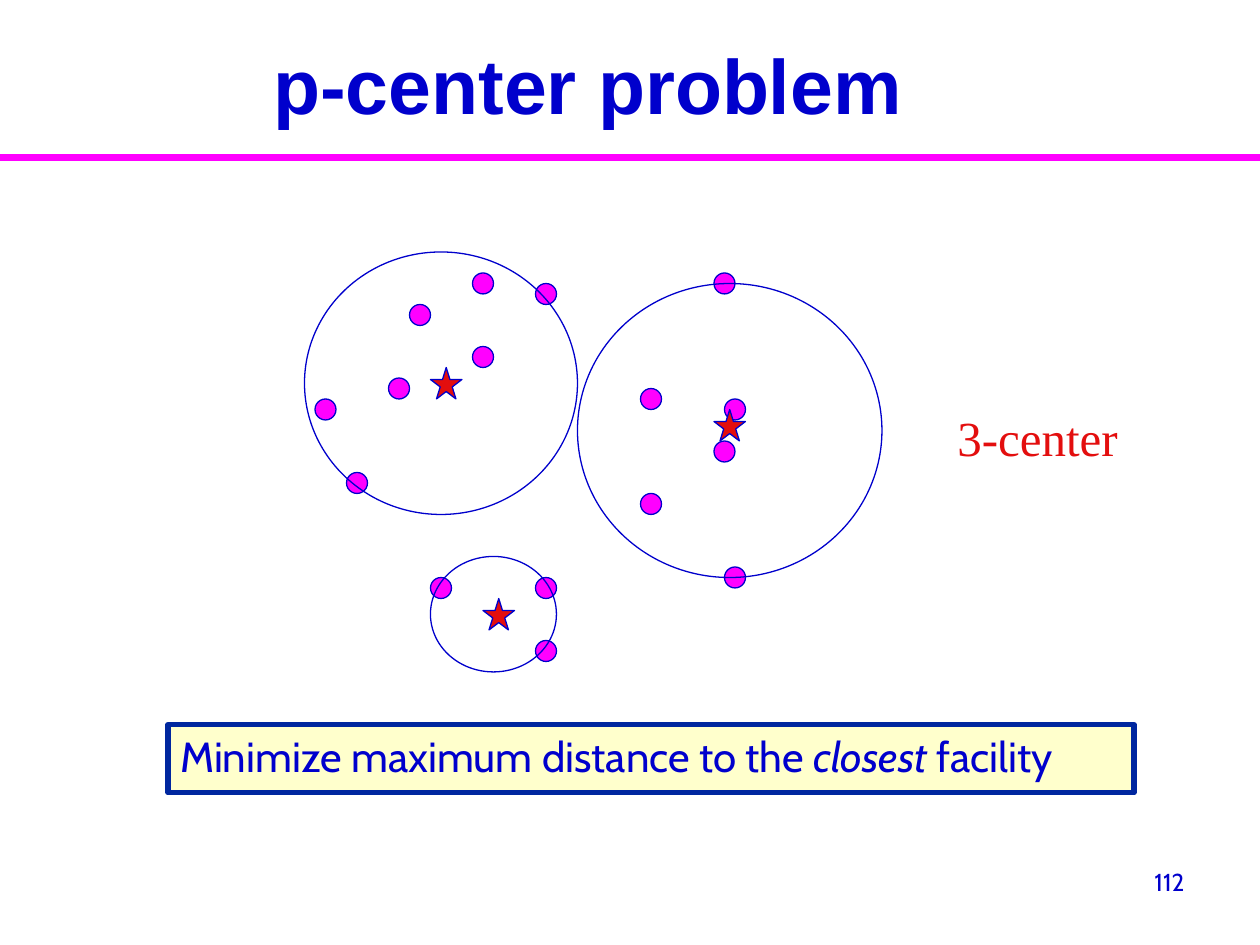
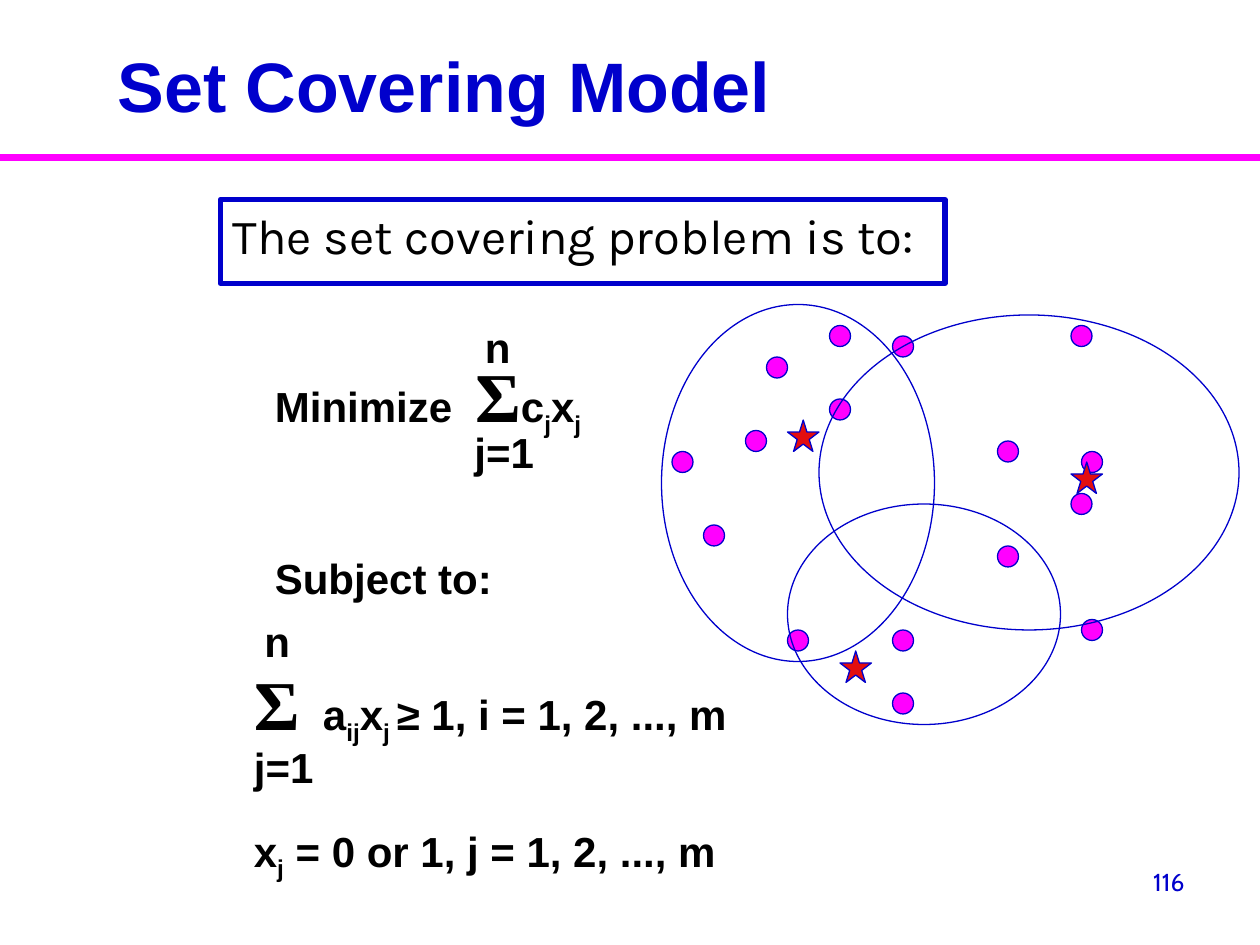
from pptx import Presentation
from pptx.dml.color import RGBColor
from pptx.enum.shapes import MSO_CONNECTOR, MSO_SHAPE
from pptx.enum.text import MSO_ANCHOR, MSO_AUTO_SIZE, PP_ALIGN
from pptx.oxml.ns import qn
from pptx.util import Pt
from lxml import etree

OVAL, STAR = MSO_SHAPE.OVAL, MSO_SHAPE.STAR_5_POINT
LEFT, CENTER, RIGHT = PP_ALIGN.LEFT, PP_ALIGN.CENTER, PP_ALIGN.RIGHT
MIDDLE, BOTTOM = MSO_ANCHOR.MIDDLE, MSO_ANCHOR.BOTTOM

BLUE, NAVY, MAGENTA = "0000CC", "00279F", "FF00FF"
RED, CREAM, BLACK = "E30E0E", "FFFFCC", "000000"
SANS, SERIF, LABEL = "Arial", "Times New Roman", "Cabin"


def colour(hex_string):
    return RGBColor.from_string(hex_string)


def write(box, align, spans):
    para = box.text_frame.paragraphs[0]
    para.alignment = align
    for text, size, font, ink, style in spans:
        span = para.add_run()
        span.text = text
        span.font.size = Pt(size)
        span.font.name = font
        span.font.color.rgb = colour(ink)
        span.font.bold = style in ("bold", "subscript")
        span.font.italic = style == "italic"
        if style == "subscript":
            span.font._element.set("baseline", "-25000")


BOLD = (24, SANS, BLACK, "bold")
SUB = (24, SANS, BLACK, "subscript")
SIGMA = ("Σ", 40, SERIF, BLACK, "bold")
NOTE = (24, LABEL, BLUE)

DEMAND_POINTS = [
    (366, 282), (306, 330), (306, 162), (270, 198), (414, 324), (222, 216),
    (198, 270), (180, 228), (246, 330), (234, 174), (408, 156), (270, 156),
    (414, 228), (366, 222), (306, 366), (408, 252),
]
FACILITIES = [(276, 342), (408, 234), (246, 210)]

PAGES = [
    {
        "title": ("p-center problem", 44, (30, 18, 612, 60), CENTER, BOTTOM),
        "number": "112",
        "shift": (0, 0),
        "areas": [(174, 144, 156, 150), (330, 162, 174, 168), (246, 318, 72, 66)],
        "texts": [
            ((540, 229.5, 106, 41), None, None,
             [("3-center", 28, SERIF, RED, "")]),
            ((96, 414, 552, 39), CREAM, NAVY,
             [("Minimize maximum distance to the ", *NOTE, ""),
              ("closest", *NOTE, "italic"), (" facility", *NOTE, "")]),
        ],
    },
    {
        "title": ("Set Covering Model", 40, (60, 18, 561, 60), LEFT, MIDDLE),
        "number": "116",
        "shift": (204, 30),
        "areas": [(378, 174, 156, 204), (468, 180, 240, 180), (450, 288, 156, 126)],
        "texts": [
            ((126, 114, 414, 48), None, BLUE,
             [("The set covering problem is to:", 28, "Karla", BLACK, "")]),
            ((150, 198, 216, 66), None, None,
             [("Minimize\t", *BOLD), SIGMA, ("c", *BOLD), ("j", *SUB),
              ("x", *BOLD), ("j", *SUB)]),
            ((270, 180, 36, 36), None, None, [("n", *BOLD)]),
            ((264, 240, 54, 36), None, None, [("j=1", *BOLD)]),
            ((150, 312, 144, 36), None, None, [("Subject to:", *BOLD)]),
            ((138, 366, 336, 156), None, None,
             [SIGMA, (" ", 48, SANS, BLACK, "bold"), ("a", *BOLD),
              ("ij", *SUB), ("x", *BOLD), ("j ", *SUB),
              ("≥ 1, i = 1, 2, ..., m", *BOLD)]),
            ((144, 348, 36, 36), None, None, [("n", *BOLD)]),
            ((138, 420, 54, 36), None, None, [("j=1", *BOLD)]),
            ((138, 468, 336, 36), None, None,
             [("x", *BOLD), ("j", *SUB), (" = 0 or 1, j = 1, 2, ..., m", *BOLD)]),
        ],
    },
]

deck = Presentation()
deck.slide_width, deck.slide_height = Pt(720), Pt(540)

for content in PAGES:
    page = deck.slides.add_slide(deck.slide_layouts[5])

    rule = page.shapes.add_connector(
        MSO_CONNECTOR.STRAIGHT, Pt(0), Pt(90), Pt(720), Pt(90))
    rule.line.color.rgb = colour(MAGENTA)
    rule.line.width = Pt(4)
    etree.SubElement(rule._element.spPr, qn("a:effectLst"))

    text, size, place, align, anchor = content["title"]
    title = page.shapes.title
    title.left, title.top, title.width, title.height = map(Pt, place)
    title.text_frame.auto_size = MSO_AUTO_SIZE.NONE
    title.text_frame.vertical_anchor = anchor
    write(title, align, [(text, size, SANS, BLUE, "bold")])

    number = page.shapes.add_textbox(Pt(516), Pt(492), Pt(168), Pt(37.5))
    number.text_frame.word_wrap = True
    write(number, RIGHT, [(content["number"], 14, LABEL, BLUE, "")])

    across, down = content["shift"]
    marks = [(OVAL, MAGENTA, (x + across, y + down, 12, 12)) for x, y in DEMAND_POINTS]
    marks += [(OVAL, None, area) for area in content["areas"]]
    marks += [(STAR, RED, (x + across, y + down, 18, 18)) for x, y in FACILITIES]
    for kind, fill, place in marks:
        mark = page.shapes.add_shape(kind, *map(Pt, place))
        mark.shadow.inherit = False
        mark.line.color.rgb = colour(BLUE)
        mark.line.width = Pt(0.75)
        if fill:
            mark.fill.solid()
            mark.fill.fore_color.rgb = colour(fill)
        else:
            mark.fill.background()

    for place, fill, border, spans in content["texts"]:
        box = page.shapes.add_textbox(*map(Pt, place))
        box.text_frame.word_wrap = True
        if fill:
            box.fill.solid()
            box.fill.fore_color.rgb = colour(fill)
        if border:
            box.line.color.rgb = colour(border)
            box.line.width = Pt(3)
        if "\t" in spans[0][0]:
            properties = box.text_frame.paragraphs[0]._p.get_or_add_pPr()
            tabs = etree.SubElement(properties, qn("a:tabLst"))
            etree.SubElement(tabs, qn("a:tab"), pos=str(Pt(114.5)), algn="l")
        write(box, LEFT, spans)

deck.save("out.pptx")
